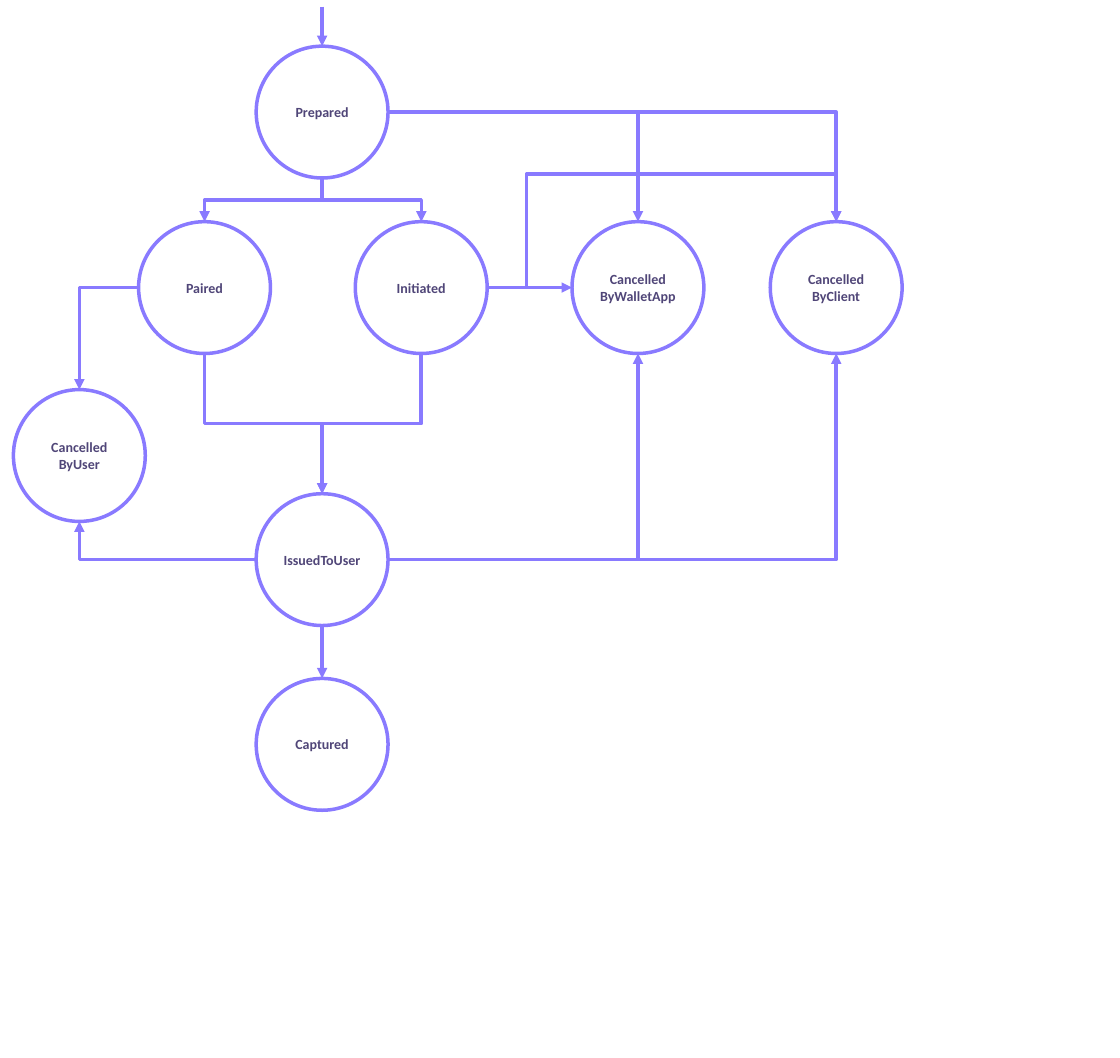
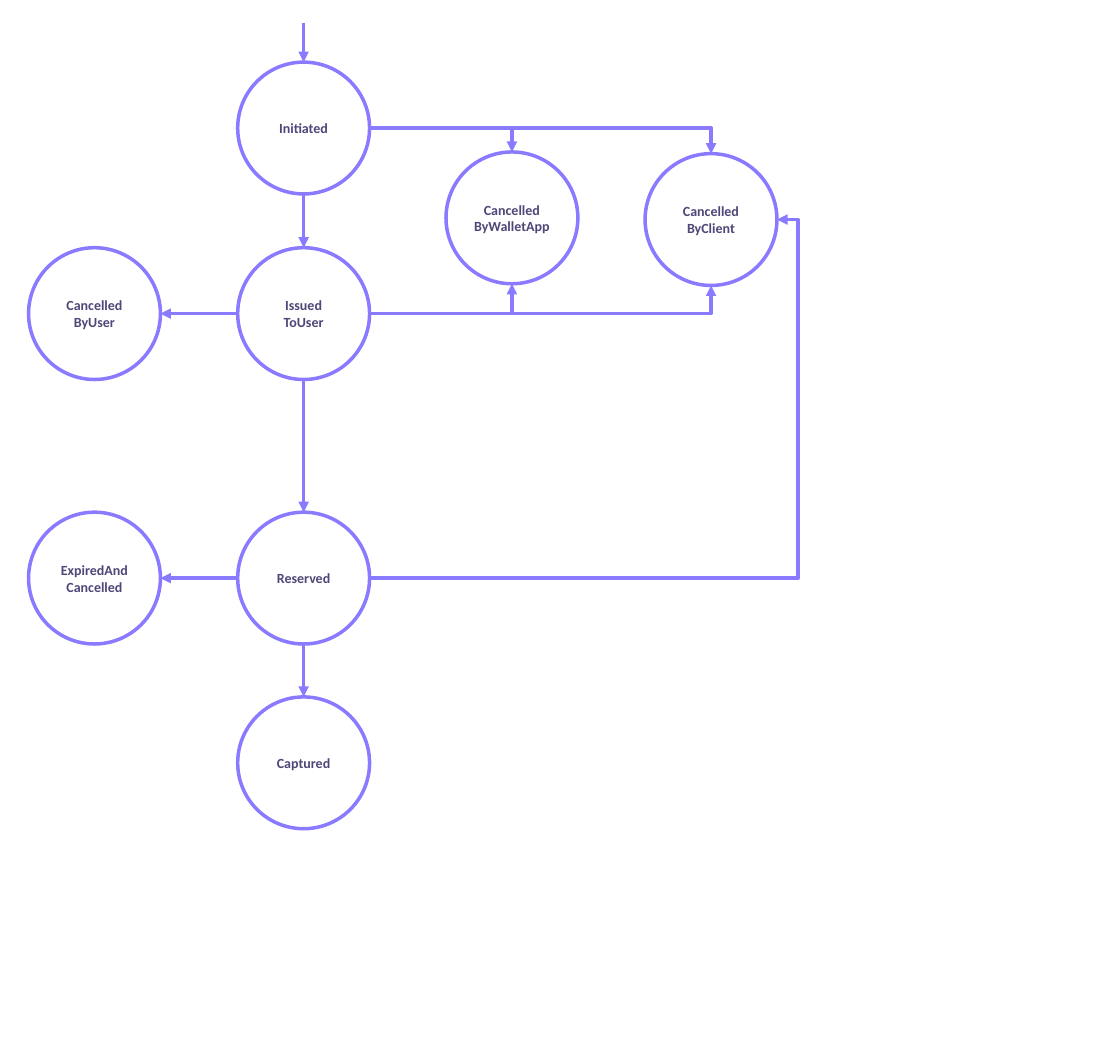
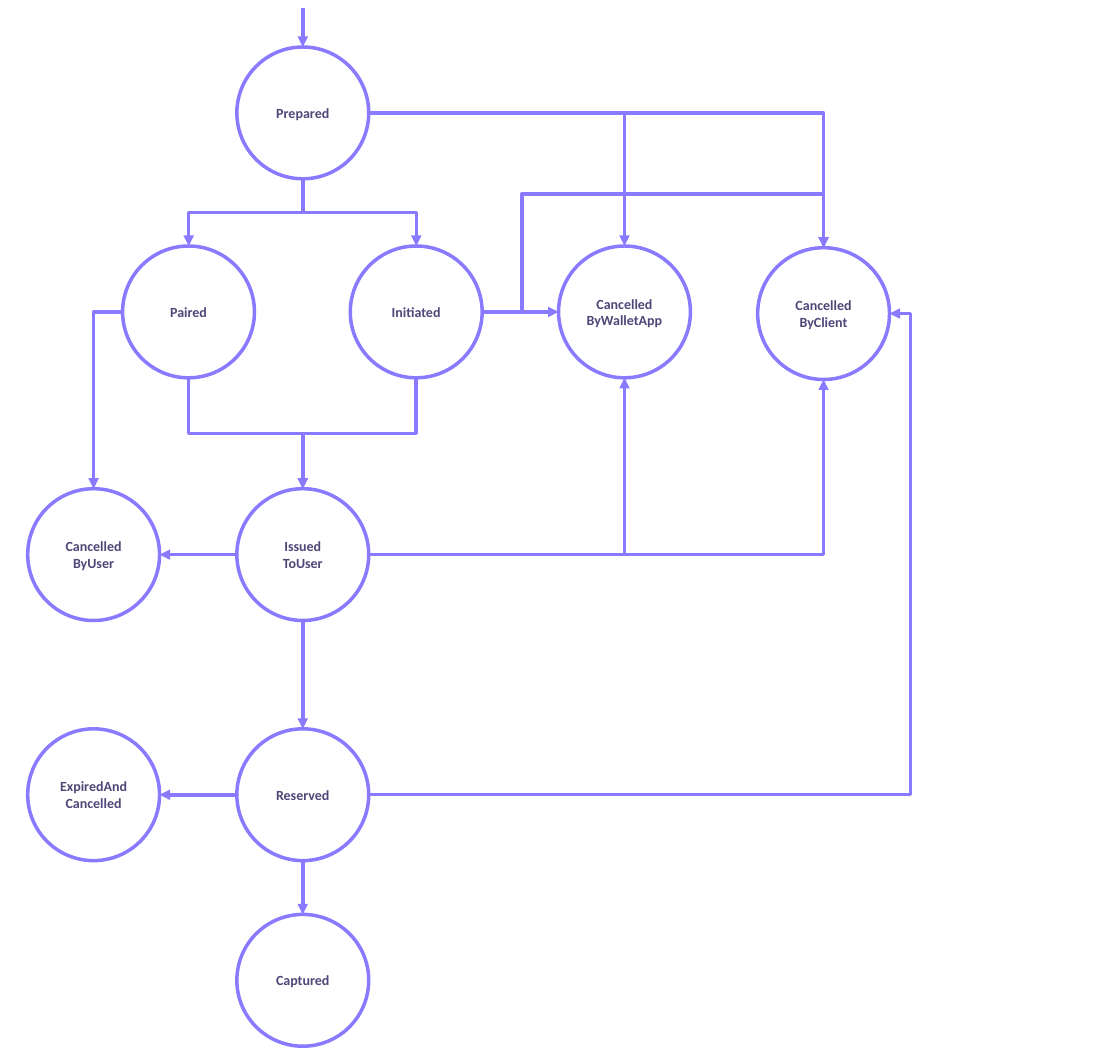
from lxml.etree import SubElement
from pptx import Presentation
from pptx.dml.color import RGBColor
from pptx.enum.shapes import MSO_CONNECTOR, MSO_SHAPE
from pptx.enum.text import MSO_ANCHOR, PP_ALIGN
from pptx.oxml.ns import qn
from pptx.util import Inches, Pt

# Shared style
SLIDE_WIDTH, SLIDE_HEIGHT = 40 / 3, 12.6
PURPLE, INK, WHITE = "897AFF", "504678", "FFFFFF"
FONT = {"name": "Calibri", "size": Pt(12), "bold": True}
FRAME = {"margin_left": 0, "margin_right": 0, "margin_top": 0, "margin_bottom": 0,
         "word_wrap": True, "vertical_anchor": MSO_ANCHOR.MIDDLE}
LINE_WIDTH = Pt(3)
DIAMETER = 1.57
ENTRY_LENGTH = 0.47

# Each side: share of the diameter across and down, connection site of an ellipse
SIDES = {"top": (0.5, 0, 0), "left": (0, 0.5, 2), "bottom": (0.5, 1, 4), "right": (1, 0.5, 6)}

# State names; a space marks a line break inside the circle
BY_APP, BY_CLIENT, BY_USER = "Cancelled ByWalletApp", "Cancelled ByClient", "Cancelled ByUser"
ISSUED, EXPIRED = "Issued ToUser", "ExpiredAnd Cancelled"

# Per diagram: the first state, the left and top of each state, and the links
# (source, side, target, side, x and y of the bends where they are set)
DIAGRAMS = [
    {
        "start": "Prepared",
        "states": {
            "Prepared": (3.05, 0.55), "Paired": (1.65, 2.64), "Initiated": (4.23, 2.64),
            BY_APP: (6.81, 2.64), BY_CLIENT: (9.17, 2.64), BY_USER: (0.16, 4.64),
            "IssuedToUser": (3.05, 5.88), "Captured": (3.05, 8.08),
        },
        "links": [
            ("Prepared", "right", BY_APP, "top"),
            ("Prepared", "right", BY_CLIENT, "top"),
            ("Prepared", "bottom", "Paired", "top"),
            ("Prepared", "bottom", "Initiated", "top"),
            ("Paired", "left", BY_USER, "top"),
            ("Paired", "bottom", "IssuedToUser", "top"),
            ("Initiated", "bottom", "IssuedToUser", "top"),
            ("Initiated", "right", BY_APP, "left"),
            ("Initiated", "right", BY_CLIENT, "top", 6.27, 2.07),
            ("IssuedToUser", "left", BY_USER, "bottom"),
            ("IssuedToUser", "right", BY_APP, "bottom"),
            ("IssuedToUser", "right", BY_CLIENT, "bottom"),
            ("IssuedToUser", "bottom", "Captured", "top"),
        ],
    },
    {
        "start": "Initiated",
        "states": {
            "Initiated": (2.83, 0.74), BY_APP: (5.31, 1.81), BY_CLIENT: (7.68, 1.83),
            BY_USER: (0.34, 2.95), ISSUED: (2.83, 2.95), EXPIRED: (0.34, 6.1),
            "Reserved": (2.83, 6.1), "Captured": (2.83, 8.3),
        },
        "links": [
            ("Initiated", "right", BY_APP, "top"),
            ("Initiated", "right", BY_CLIENT, "top"),
            ("Initiated", "bottom", ISSUED, "top"),
            (ISSUED, "left", BY_USER, "right"),
            (ISSUED, "right", BY_APP, "bottom"),
            (ISSUED, "right", BY_CLIENT, "bottom"),
            (ISSUED, "bottom", "Reserved", "top"),
            ("Reserved", "left", EXPIRED, "right"),
            ("Reserved", "right", BY_CLIENT, "right", 9.5),
            ("Reserved", "bottom", "Captured", "top"),
        ],
    },
    {
        "start": "Prepared",
        "states": {
            "Prepared": (2.82, 0.56), "Paired": (1.46, 2.93), "Initiated": (4.17, 2.93),
            BY_APP: (6.65, 2.93), BY_CLIENT: (9.02, 2.95), BY_USER: (0.33, 5.82),
            ISSUED: (2.82, 5.82), EXPIRED: (0.33, 8.68), "Reserved": (2.82, 8.68),
            "Captured": (2.82, 10.89),
        },
        "links": [
            ("Prepared", "right", BY_APP, "top"),
            ("Prepared", "right", BY_CLIENT, "top"),
            ("Prepared", "bottom", "Paired", "top"),
            ("Prepared", "bottom", "Initiated", "top"),
            ("Paired", "left", BY_USER, "top"),
            ("Paired", "bottom", ISSUED, "top"),
            ("Initiated", "bottom", ISSUED, "top"),
            ("Initiated", "right", BY_APP, "left"),
            ("Initiated", "right", BY_CLIENT, "top", 6.21, 2.31),
            (ISSUED, "left", BY_USER, "right"),
            (ISSUED, "right", BY_APP, "bottom"),
            (ISSUED, "right", BY_CLIENT, "bottom"),
            (ISSUED, "bottom", "Reserved", "top"),
            ("Reserved", "left", EXPIRED, "right"),
            ("Reserved", "right", BY_CLIENT, "right", 10.84),
            ("Reserved", "bottom", "Captured", "top"),
        ],
    },
]


def color(value):
    return RGBColor.from_string(value)


def apply(target, values):
    for name, value in values.items():
        setattr(target, name, value)


def style_line(line):
    line.color.rgb = color(PURPLE)
    line.width = LINE_WIDTH


def add_state(slide, label, left, top):
    shape = slide.shapes.add_shape(MSO_SHAPE.OVAL, Inches(left), Inches(top),
                                   Inches(DIAMETER), Inches(DIAMETER))
    shape.shadow.inherit = False
    shape.fill.solid()
    shape.fill.fore_color.rgb = color(WHITE)
    style_line(shape.line)
    apply(shape.text_frame, FRAME)
    paragraph = shape.text_frame.paragraphs[0]
    paragraph.alignment = PP_ALIGN.CENTER
    for index, text in enumerate(label.split()):
        if index:
            paragraph.add_line_break()
        run = paragraph.add_run()
        run.text = text
        apply(run.font, FONT)
        run.font.color.rgb = color(INK)
    return shape


def add_arrow(slide, kind, begin, end):
    connector = slide.shapes.add_connector(kind, *map(Inches, begin + end))
    style_line(connector.line)
    properties = connector._element.spPr
    SubElement(properties.find(qn("a:ln")), qn("a:tailEnd"), type="triangle")
    SubElement(properties, qn("a:effectLst"))
    return connector


def side_point(position, side):
    across, down, _ = SIDES[side]
    return position[0] + across * DIAMETER, position[1] + down * DIAMETER


def add_vertical_elbow(slide, begin, end):
    """An elbow that leaves downwards: a turned box around the same centre."""
    (x1, y1), (x2, y2) = begin, end
    middle_x, middle_y = (x1 + x2) / 2, (y1 + y2) / 2
    half_width, half_height = abs(y2 - y1) / 2, abs(x2 - x1) / 2
    connector = add_arrow(slide, MSO_CONNECTOR.ELBOW,
                          (middle_x - half_width, middle_y - half_height),
                          (middle_x + half_width, middle_y + half_height))
    frame = connector._element.spPr.find(qn("a:xfrm"))
    frame.set("rot", str((90 if x2 < x1 else 270) * 60000))
    if x2 > x1:
        frame.set("flipH", "1")
    return connector


def add_link(slide, diagram, shapes, link):
    source, source_side, target, target_side, *bends = link
    begin = side_point(diagram["states"][source], source_side)
    end = side_point(diagram["states"][target], target_side)
    deltas = [b - a for a, b in zip(begin, end)]

    # Choose the route from the sides and the bends
    if min(map(abs, deltas)) < 0.01:
        connector = add_arrow(slide, MSO_CONNECTOR.STRAIGHT, begin, end)
    elif source_side == "bottom":
        connector = add_vertical_elbow(slide, begin, end)
    else:
        connector = add_arrow(slide, MSO_CONNECTOR.ELBOW, begin, end)
        geometry = connector._element.spPr.find(qn("a:prstGeom"))
        geometry.set("prst", f"bentConnector{len(bends) + 2}")
        adjustments = geometry.find(qn("a:avLst"))
        for number, (bend, start, delta) in enumerate(zip(bends, begin, deltas), 1):
            SubElement(adjustments, qn("a:gd"), name=f"adj{number}",
                       fmla=f"val {round((bend - start) / delta * 100000)}")

    # Attach both ends to the circles
    joints = connector._element.find(".//" + qn("p:cNvCxnSpPr"))
    for tag, state, side in (("a:stCxn", source, source_side), ("a:endCxn", target, target_side)):
        SubElement(joints, qn(tag), id=str(shapes[state].shape_id), idx=str(SIDES[side][2]))


def add_diagram(presentation, diagram):
    slide = presentation.slides.add_slide(presentation.slide_layouts[6])
    shapes = {label: add_state(slide, label, *position)
              for label, position in diagram["states"].items()}
    entry = side_point(diagram["states"][diagram["start"]], "top")
    add_arrow(slide, MSO_CONNECTOR.STRAIGHT, (entry[0], entry[1] - ENTRY_LENGTH), entry)
    for link in diagram["links"]:
        add_link(slide, diagram, shapes, link)


def main():
    presentation = Presentation()
    presentation.slide_width = Inches(SLIDE_WIDTH)
    presentation.slide_height = Inches(SLIDE_HEIGHT)
    for diagram in DIAGRAMS:
        add_diagram(presentation, diagram)
    presentation.save("out.pptx")


if __name__ == "__main__":
    main()
